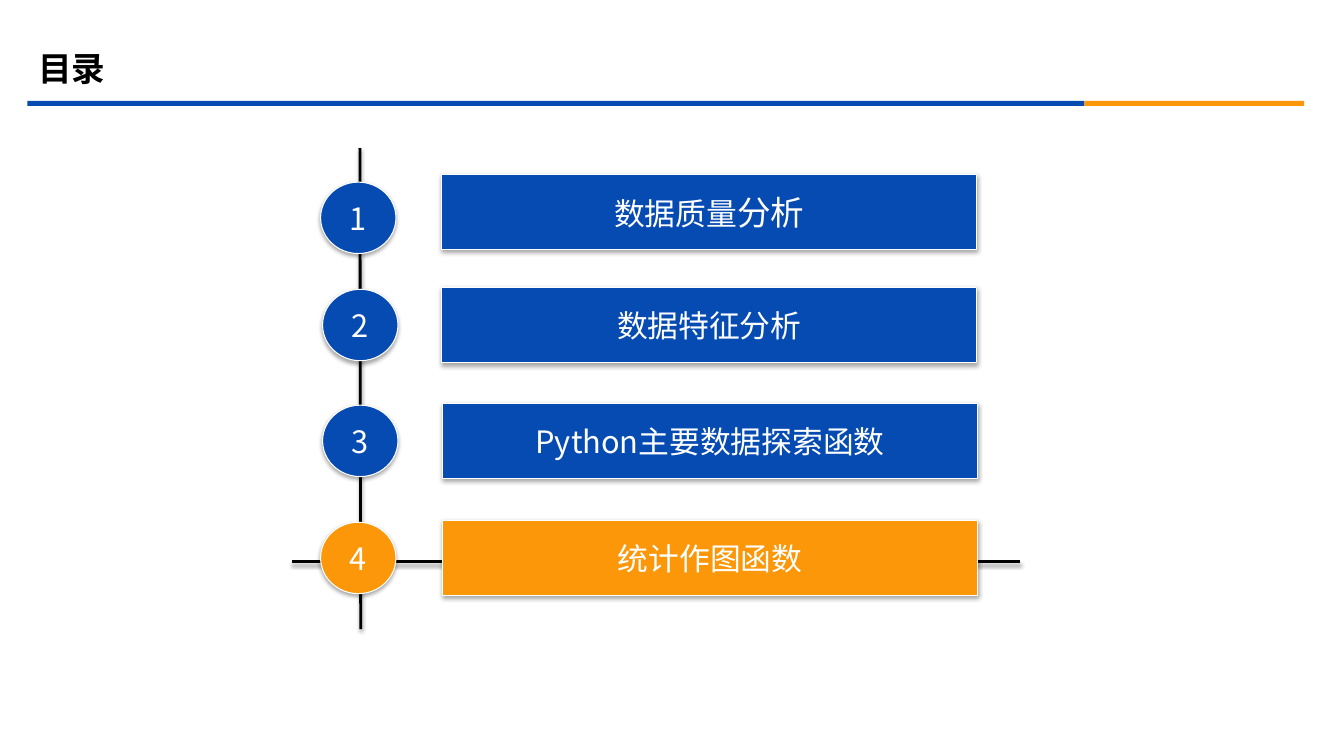
from lxml.etree import SubElement
from pptx import Presentation
from pptx.dml.color import RGBColor
from pptx.enum.shapes import MSO_CONNECTOR, MSO_SHAPE
from pptx.enum.text import MSO_ANCHOR, PP_ALIGN
from pptx.oxml.ns import qn
from pptx.util import Cm, Pt

FONT = "Noto Sans CJK SC"
COLORS = {
    "blue": "064BB2",
    "orange": "FB9708",
    "white": "FFFFFF",
    "black": "000000",
}
CHAPTERS = [
    {"label": [("数据质量", 22), ("分析", 24)], "top": 0.66,
     "badge": (0.71, 0.2), "bar": 3.76, "color": "blue"},
    {"label": [("数据特征分析", 22)], "top": 3.51,
     "badge": (0.76, 0.05), "bar": 3.76, "color": "blue"},
    {"label": [("Python主要数据探索函数", 22)], "top": 6.43,
     "badge": (0.76, 0.05), "bar": 3.78, "color": "blue"},
    {"label": [("统计作图函数", 22)], "top": 9.38,
     "badge": (0.71, 0.05), "bar": 3.78, "color": "orange"},
]


def rgb(color):
    return RGBColor.from_string(COLORS[color])


def style_run(run, size, color, bold=False):
    run.font.size = Pt(size)
    run.font.bold = bold
    run.font.name = FONT
    run.font.color.rgb = rgb(color)
    SubElement(run.font._element, qn("a:ea"), typeface=FONT)


def add_shadow(item, distance, opacity):
    properties = item._element.spPr
    effects = properties.find(qn("a:effectLst"))
    if effects is None:
        effects = SubElement(properties, qn("a:effectLst"))
    shadow = SubElement(effects, qn("a:outerShdw"), blurRad=str(Pt(3.1)),
                        dist=str(Pt(distance)), dir="5400000", rotWithShape="0")
    tint = SubElement(shadow, qn("a:srgbClr"), val=COLORS["black"])
    SubElement(tint, qn("a:alpha"), val=str(opacity * 1000))


def add_block(slide, kind, left, top, width, height, color):
    block = slide.shapes.add_shape(kind, Cm(left), Cm(top), Cm(width), Cm(height))
    block.shadow.inherit = False
    block.fill.solid()
    block.fill.fore_color.rgb = rgb(color)
    block.line.fill.background()
    return block


def add_button(slide, kind, left, top, width, height, color, label):
    button = add_block(slide, kind, left, top, width, height, color)
    button.line.color.rgb = rgb("white")
    button.line.width = Pt(0.75)
    add_shadow(button, 1.8, 35)
    frame = button.text_frame
    frame.word_wrap = False
    frame.vertical_anchor = MSO_ANCHOR.MIDDLE
    paragraph = frame.paragraphs[0]
    paragraph.alignment = PP_ALIGN.CENTER
    for words, size in label:
        run = paragraph.add_run()
        run.text = words
        style_run(run, size, "white")


def add_rule(slide, x1, y1, x2, y2):
    rule = slide.shapes.add_connector(
        MSO_CONNECTOR.STRAIGHT, Cm(x1), Cm(y1), Cm(x2), Cm(y2))
    rule.line.color.rgb = rgb("black")
    rule.line.width = Pt(2)
    add_shadow(rule, 1.6, 38)


def build_header(slide, left, top, width):
    blue_width = 26.64
    add_block(slide, MSO_SHAPE.RECTANGLE, left, top + 1.55, blue_width, 0.13, "blue")
    add_block(slide, MSO_SHAPE.RECTANGLE, left + blue_width, top + 1.55,
              width - blue_width, 0.13, "orange")
    title = slide.shapes.title
    title.left, title.top = Cm(left + 0.02), Cm(top)
    title.width, title.height = Cm(30.48), Cm(1.47)
    title.text_frame.text = "目录"
    title.text_frame.vertical_anchor = MSO_ANCHOR.MIDDLE
    paragraph = title.text_frame.paragraphs[0]
    paragraph.alignment = PP_ALIGN.LEFT
    style_run(paragraph.runs[0], 24, "black", bold=True)


def build_agenda(slide, left, top, width, height):
    add_rule(slide, left + 1.7, top, left + 1.72, top + height)
    add_rule(slide, left, top + 10.42, left + width, top + 10.42)
    for number, chapter in enumerate(CHAPTERS, 1):
        row_top = top + chapter["top"]
        badge_left, badge_top = chapter["badge"]
        add_button(slide, MSO_SHAPE.OVAL, left + badge_left, row_top + badge_top,
                   1.9, 1.8, chapter["color"], [(str(number), 22)])
        add_button(slide, MSO_SHAPE.ACTION_BUTTON_CUSTOM, left + chapter["bar"], row_top,
                   13.49, 1.9, chapter["color"], chapter["label"])


presentation = Presentation()
presentation.slide_width, presentation.slide_height = Cm(33.87), Cm(19.05)
contents = presentation.slides.add_slide(presentation.slide_layouts[5])
build_header(contents, 0.69, 0.99, 32.18)
build_agenda(contents, 7.37, 3.73, 18.33, 12.12)
presentation.save("out.pptx")
